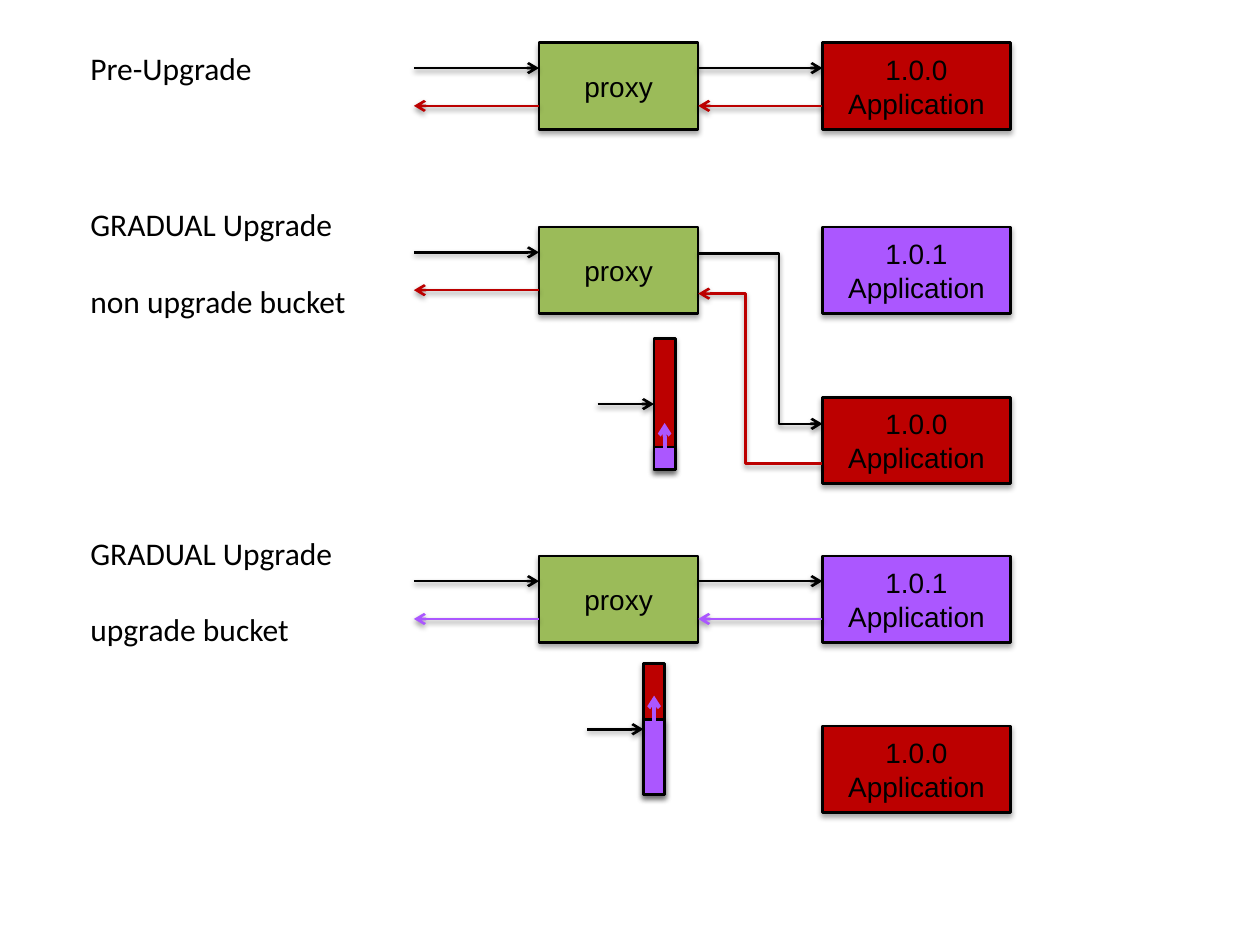
"""Build a slide comparing proxy routing before and during a gradual upgrade."""
from typing import NamedTuple, Optional

from lxml.etree import SubElement
from pptx import Presentation
from pptx.dml.color import RGBColor
from pptx.enum.shapes import MSO_CONNECTOR as Link, MSO_SHAPE as Preset
from pptx.enum.text import MSO_ANCHOR as Anchor, PP_ALIGN as Align
from pptx.oxml.ns import qn
from pptx.util import Pt

BLACK, GREEN, RED, PURPLE = "000000", "9BBB59", "BC0000", "AB57FF"
CLIENT_X, PROXY_X, PROXY_W, APP_X, APP_W = 236.5, 308, 91, 470, 107.5
BOX_H, REQUEST_DY, REPLY_DY, OLD_APP_DY = 49.5, 14.4, 36, 97.2
BENT_REQUEST_DY, BENT_REPLY_DY = 15.2, 38
BUCKET_W, BUCKET_H = 12.2, 75


class Bucket(NamedTuple):
    left: float
    top: float
    upgraded: float


class Scenario(NamedTuple):
    top: float
    label_top: float
    label: tuple[str, ...]
    reply_color: str
    bucket: Optional[Bucket] = None
    reaches_new: bool = False


SCENARIOS = (
    Scenario(24.5, 24.5, ("Pre-Upgrade",), RED),
    Scenario(129.8, 113.8, ("GRADUAL Upgrade", "non upgrade bucket"), RED,
             Bucket(373.7, 193.4, 13)),
    Scenario(317.7, 301.7, ("GRADUAL Upgrade", "upgrade bucket"), PURPLE,
             Bucket(367.7, 379.2, 43), True),
)


def rgb(color: str) -> RGBColor:
    """Turn a hex string into a colour."""
    return RGBColor.from_string(color)


def add_shadow(item, opacity: int, distance: float) -> None:
    """Give a shape or connector a soft shadow straight below it."""
    effects = SubElement(item._element.spPr, qn("a:effectLst"))
    shadow = SubElement(effects, qn("a:outerShdw"), blurRad=str(Pt(3.1)),
                        dist=str(Pt(distance)), dir="5400000", rotWithShape="0")
    tint = SubElement(shadow, qn("a:srgbClr"), val=BLACK)
    SubElement(tint, qn("a:alpha"), val=str(opacity * 1000))


def add_span(para, text: str, font: str, size: float) -> None:
    """Add one black run to a paragraph."""
    span = para.add_run()
    span.text = text
    span.font.name, span.font.size = font, Pt(size)
    span.font.color.rgb = rgb(BLACK)


def add_box(page, left: float, top: float, width: float, height: float,
            color: str, text: str = ""):
    """Draw an outlined rectangle with an optional centred caption."""
    box = page.shapes.add_shape(Preset.RECTANGLE, Pt(left), Pt(top), Pt(width), Pt(height))
    box.fill.solid()
    box.fill.fore_color.rgb = rgb(color)
    box.line.color.rgb = rgb(BLACK)
    box.line.width = Pt(1.5)
    add_shadow(box, 35, 1.8)
    if text:
        box.text_frame.word_wrap = True
        box.text_frame.vertical_anchor = Anchor.MIDDLE
        para = box.text_frame.paragraphs[0]
        para.alignment = Align.CENTER
        add_span(para, text, "Arial", 16)
    return box


def add_arrow(page, start: tuple[float, float], end: tuple[float, float], color: str,
              width: float = 1.5, shadow: bool = True, bend: Optional[float] = None):
    """Draw an arrow, bent at the given share of its width if one is set."""
    kind = Link.STRAIGHT if bend is None else Link.ELBOW
    arrow = page.shapes.add_connector(kind, *map(Pt, start + end))
    arrow.line.color.rgb = rgb(color)
    arrow.line.width = Pt(width)
    SubElement(arrow.line._get_or_add_ln(), qn("a:tailEnd"), type="arrow")
    if shadow:
        add_shadow(arrow, 38, 1.6)
    else:
        SubElement(arrow._element.spPr, qn("a:effectLst"))
    if bend is not None:
        guides = arrow._element.spPr.find(qn("a:prstGeom")).find(qn("a:avLst"))
        SubElement(guides, qn("a:gd"), name="adj1", fmla=f"val {round(bend * 100000)}")
    return arrow


def add_label(page, top: float, lines: tuple[str, ...]) -> None:
    """Write the scenario name at the left."""
    height = 28.8 if len(lines) == 1 else 72.7
    box = page.shapes.add_textbox(Pt(44.6), Pt(top), Pt(165.6), Pt(height))
    frame = box.text_frame
    frame.word_wrap = True
    for index, line in enumerate(lines):
        para = frame.add_paragraph() if index else frame.paragraphs[0]
        if index:
            para.space_before = Pt(22)
        add_span(para, line, "Calibri", 18)


def add_exchange(page, left: float, right: float, top: float, color: str) -> None:
    """Draw a request arrow and the reply arrow below it."""
    add_arrow(page, (left, top + REQUEST_DY), (right, top + REQUEST_DY), BLACK)
    add_arrow(page, (right, top + REPLY_DY), (left, top + REPLY_DY), color)


def add_bent_exchange(page, left: float, right: float, top: float, color: str) -> None:
    """Draw bent request and reply arrows to the lower application."""
    request, reply = top + BENT_REQUEST_DY, top + BENT_REPLY_DY
    add_arrow(page, (left, request), (right, request + OLD_APP_DY), BLACK, bend=0.65)
    add_arrow(page, (right, reply + OLD_APP_DY), (left, reply), color, bend=0.62)


def add_bucket(page, bucket: Bucket) -> None:
    """Draw the bucket bar, its growing upgraded part and its pointer."""
    left, top, upgraded = bucket
    level, center = top + BUCKET_H - upgraded, left + BUCKET_W / 2
    middle = top + BUCKET_H / 2
    bar = add_box(page, left, top, BUCKET_W, BUCKET_H, RED)
    add_box(page, left, level, BUCKET_W, upgraded, PURPLE)
    pointer = add_arrow(page, (left - 32.2, middle), (left, middle), BLACK)
    pointer.end_connect(bar, 1)
    add_arrow(page, (center, level + 0.7), (center, level - 13.7), PURPLE, 2.25, False)


def add_scenario(page, scenario: Scenario) -> None:
    """Draw one scenario with its proxy, applications and traffic."""
    top, color = scenario.top, scenario.reply_color
    proxy_right = PROXY_X + PROXY_W
    add_label(page, scenario.label_top, scenario.label)
    add_box(page, PROXY_X, top, PROXY_W, BOX_H, GREEN, "proxy")
    old_top = top
    if scenario.bucket:
        old_top = top + OLD_APP_DY
        add_box(page, APP_X, top, APP_W, BOX_H, PURPLE, "1.0.1 Application")
    add_box(page, APP_X, old_top, APP_W, BOX_H, RED, "1.0.0 Application")
    add_exchange(page, CLIENT_X, PROXY_X, top, color)
    bent = scenario.bucket and not scenario.reaches_new
    draw_exchange = add_bent_exchange if bent else add_exchange
    draw_exchange(page, proxy_right, APP_X, top, color)
    if scenario.bucket:
        add_bucket(page, scenario.bucket)


def main() -> None:
    """Create and save the deck."""
    deck = Presentation()
    deck.slide_width, deck.slide_height = Pt(720), Pt(540)
    page = deck.slides.add_slide(deck.slide_layouts[6])
    for scenario in SCENARIOS:
        add_scenario(page, scenario)
    deck.save("out.pptx")


if __name__ == "__main__":
    main()
